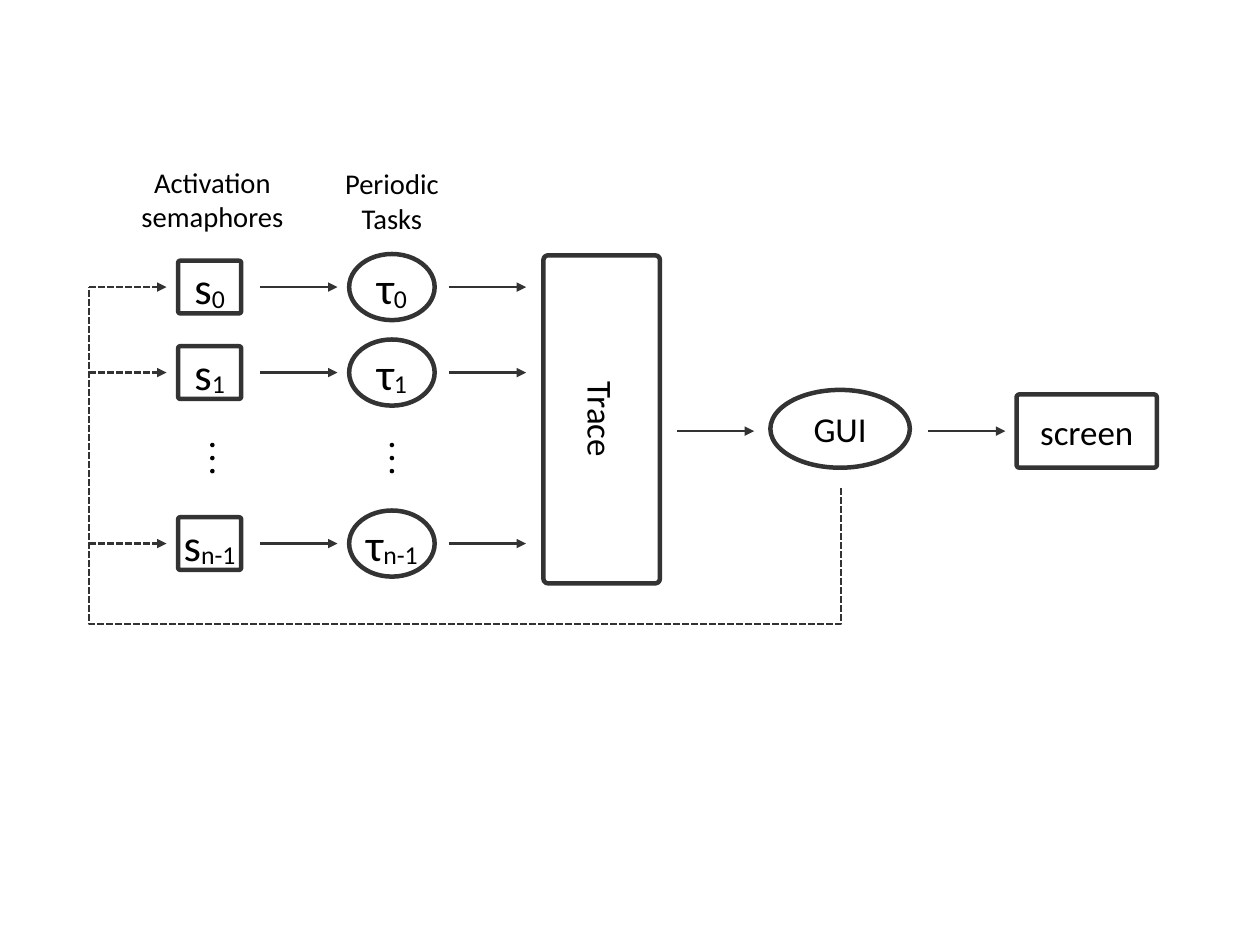
"""Draw the flow from semaphores through tasks and trace to GUI and screen."""
from dataclasses import dataclass

from lxml.etree import SubElement
from pptx import Presentation
from pptx.dml.color import RGBColor
from pptx.dml.line import LineFormat
from pptx.enum.dml import MSO_LINE
from pptx.enum.shapes import MSO_CONNECTOR, MSO_SHAPE
from pptx.enum.text import MSO_ANCHOR, PP_ALIGN
from pptx.oxml.ns import qn
from pptx.text.text import TextFrame
from pptx.util import Cm, Pt

COLORS = {"line": "333333", "fill": "FFFFFF", "text": "000000"}
FONT = "Calibri"
TOP, STEP = 6.38, 1.9
ROWS = {"0": TOP, "1": TOP + STEP, "n-1": TOP + 3 * STEP}
GAP_Y = TOP + 2 * STEP
SEM_X, TASK_X = 4.66, 8.71
LOOP_X, OUT_Y = 1.98, 9.58
REACH = 1.72


@dataclass
class Node:
    kind: MSO_SHAPE
    x: float
    y: float
    width: float
    height: float
    text: str
    sub: str = ""
    size: int = 22
    turn: int = 0


@dataclass
class Arrow:
    x: float
    y: float
    dashed: bool = False


@dataclass
class Label:
    x: float
    y: float
    lines: tuple[str, ...]


def tint(name: str) -> RGBColor:
    return RGBColor.from_string(COLORS[name])


def style(line: LineFormat, width: float, dashed: bool = False) -> None:
    line.color.rgb = tint("line")
    line.width = Cm(width)
    if dashed:
        line.dash_style = MSO_LINE.SQUARE_DOT


def write(frame: TextFrame, lines: tuple[str, ...], size: int, sub: str = "") -> None:
    frame.word_wrap = False
    frame.vertical_anchor = MSO_ANCHOR.MIDDLE
    for i, line in enumerate(lines):
        para = frame.paragraphs[0] if i == 0 else frame.add_paragraph()
        para.alignment = PP_ALIGN.CENTER
        for text in filter(None, (line, sub)):
            run = para.add_run()
            run.text = text
            run.font.name = FONT
            run.font.size = Pt(size)
            run.font.color.rgb = tint("text")
        if sub:
            run.font._element.set("baseline", "-8000")


def draw_node(shapes, node: Node) -> None:
    box = shapes.add_shape(
        node.kind, Cm(node.x - node.width / 2), Cm(node.y - node.height / 2),
        Cm(node.width), Cm(node.height))
    box.shadow.inherit = False
    box.rotation = node.turn
    if node.kind == MSO_SHAPE.ROUNDED_RECTANGLE:
        box.adjustments[0] = 0.04
    box.fill.solid()
    box.fill.fore_color.rgb = tint("fill")
    style(box.line, 0.1)
    write(box.text_frame, (node.text,), node.size, node.sub)


def draw_arrow(shapes, arrow: Arrow) -> None:
    y = Cm(arrow.y)
    link = shapes.add_connector(
        MSO_CONNECTOR.STRAIGHT, Cm(arrow.x), y, Cm(arrow.x + REACH), y)
    style(link.line, 0.05, arrow.dashed)
    SubElement(link.line._get_or_add_ln(), qn("a:tailEnd"), type="triangle")
    SubElement(link._element.spPr, qn("a:effectLst"))


def draw_label(shapes, label: Label) -> None:
    width, height = 3.6, 1.1
    box = shapes.add_textbox(
        Cm(label.x - width / 2), Cm(label.y - height / 2), Cm(width), Cm(height))
    box.text_frame.margin_left = box.text_frame.margin_right = Cm(0)
    write(box.text_frame, label.lines, 18)


def draw_dots(shapes, x: float) -> None:
    size, gap = 0.1, 0.29
    group = shapes.add_group_shape()
    for i in (-1, 0, 1):
        dot = group.shapes.add_shape(
            MSO_SHAPE.OVAL, Cm(x - size / 2), Cm(GAP_Y + i * gap - size / 2),
            Cm(size), Cm(size))
        dot.shadow.inherit = False
        dot.fill.solid()
        dot.fill.fore_color.rgb = tint("text")
        dot.line.fill.background()


def draw_loop(shapes) -> None:
    right, low = 18.69, 13.87
    pen = shapes.build_freeform(Cm(right), Cm(10.85))
    turns = ((right, low), (LOOP_X, low), (LOOP_X, TOP))
    pen.add_line_segments([(Cm(x), Cm(y)) for x, y in turns], close=False)
    loop = pen.convert_to_shape()
    loop.shadow.inherit = False
    loop.fill.background()
    style(loop.line, 0.05, True)


def main() -> None:
    deck = Presentation()
    deck.slide_width, deck.slide_height = Cm(28), Cm(21)
    shapes = deck.slides.add_slide(deck.slide_layouts[6]).shapes
    oval, block = MSO_SHAPE.OVAL, MSO_SHAPE.ROUNDED_RECTANGLE

    nodes = [
        Node(block, 13.37, 9.32, 7.29, 2.59, "Trace", turn=90),
        Node(oval, 18.67, 9.53, 3.1, 1.73, "GUI"),
        Node(block, 24.15, OUT_Y, 3.12, 1.63, "screen"),
    ]
    arrows = [Arrow(15.04, OUT_Y), Arrow(20.62, OUT_Y)]
    for sub, y in ROWS.items():
        nodes += [
            Node(block, SEM_X, y, 1.4, 1.17, "s", sub, 28),
            Node(oval, TASK_X, y, 1.9, 1.47, "τ", sub, 28),
        ]
        arrows += [Arrow(LOOP_X, y, True), Arrow(5.78, y), Arrow(9.97, y)]
    labels = [
        Label(4.72, 4.43, ("Activation", "semaphores")),
        Label(TASK_X, 4.46, ("Periodic", "Tasks")),
    ]

    for node in nodes:
        draw_node(shapes, node)
    for label in labels:
        draw_label(shapes, label)
        draw_dots(shapes, label.x)
    for arrow in arrows:
        draw_arrow(shapes, arrow)
    draw_loop(shapes)
    deck.save("out.pptx")


if __name__ == "__main__":
    main()
